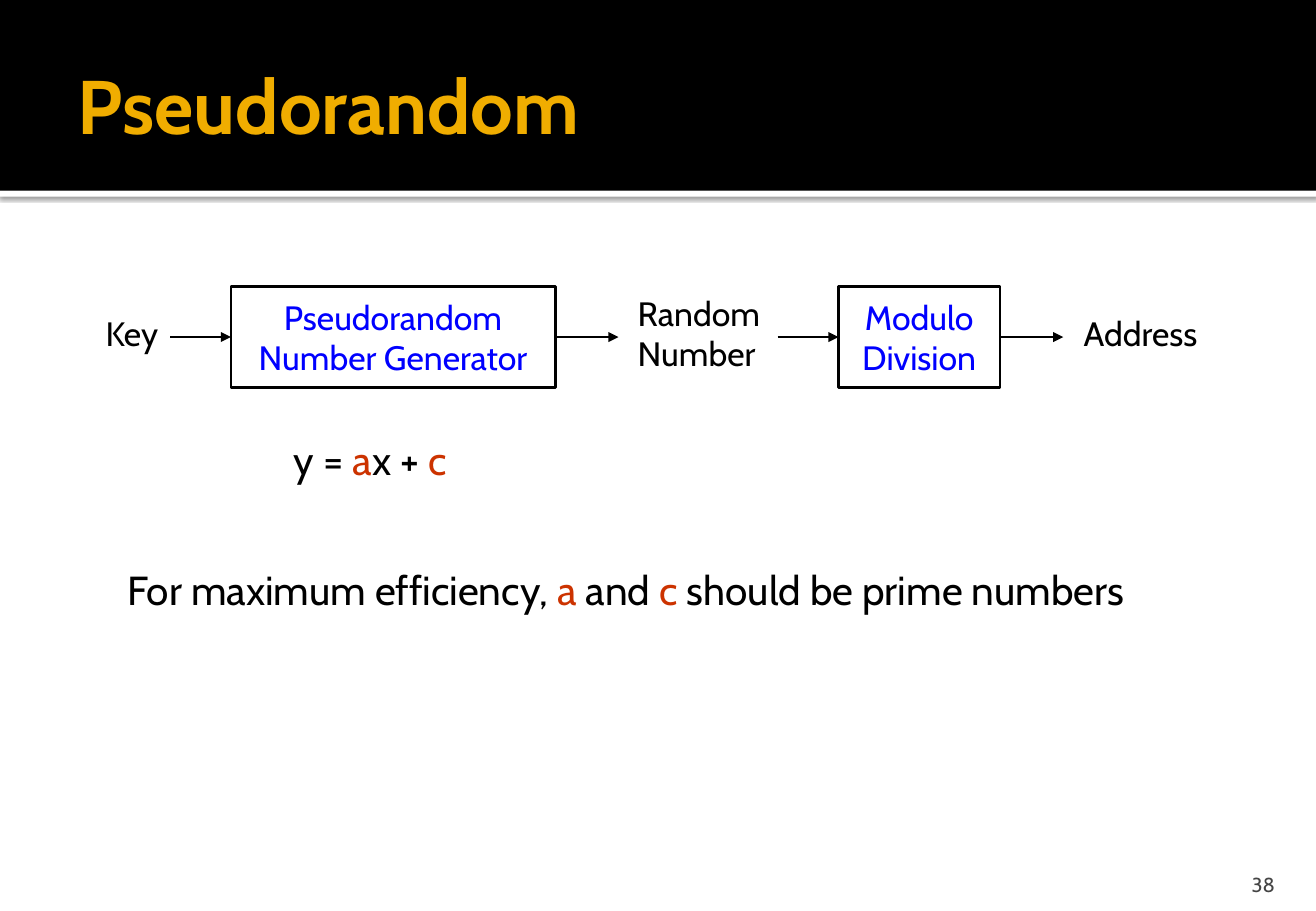
import lxml.etree
import pptx
import pptx.dml.color
import pptx.enum.shapes
import pptx.enum.text
import pptx.oxml
import pptx.oxml.ns
import pptx.util

Inches = pptx.util.Inches
ALIGN = pptx.enum.text.PP_ALIGN
ANCHOR = pptx.enum.text.MSO_ANCHOR
RECTANGLE = pptx.enum.shapes.MSO_SHAPE.RECTANGLE
COLORS = {"black": "000000", "white": "FFFFFF", "gold": "F0AD00",
          "grey": "454545", "blue": "0000FF", "red": "CC3300"}
HEADER_HEIGHT = 1.57
BOX_TOP, BOX_HEIGHT = 2.36, 0.83
FLOW_Y = BOX_TOP + BOX_HEIGHT / 2
ARROW_LENGTH = 0.5


def rgb(name):
    return pptx.dml.color.RGBColor.from_string(COLORS[name])


def write(shape, lines, size, align=ALIGN.LEFT, bold=False, **frame_format):
    """Fill a shape with lines, each a list of (text, colour name) spans."""
    frame = shape.text_frame
    for name, value in ({"word_wrap": True} | frame_format).items():
        setattr(frame, name, value)
    for index, spans in enumerate(lines):
        para = frame.paragraphs[0] if index == 0 else frame.add_paragraph()
        para.alignment = align
        for text, color in spans:
            span = para.add_run()
            span.text = text
            font_format = {"name": "Cabin", "size": pptx.util.Pt(size), "bold": bold}
            for name, value in font_format.items():
                setattr(span.font, name, value)
            span.font.color.rgb = rgb(color)


deck = pptx.Presentation()
deck.slide_width, deck.slide_height = Inches(10.83), Inches(7.5)
page = deck.slides.add_slide(deck.slide_layouts[5])

# Header band with a shadowed white rule below it
for top, height, color in [(HEADER_HEIGHT, 0.05, "white"), (0, HEADER_HEIGHT, "black")]:
    band = page.shapes.add_shape(RECTANGLE, 0, Inches(top), deck.slide_width, Inches(height))
    band.shadow.inherit = False
    band.fill.solid()
    band.fill.fore_color.rgb = rgb(color)
    band.line.fill.background()
    if color == "white":
        effects = band.element.spPr.find(pptx.oxml.ns.qn("a:effectLst"))
        effects.append(pptx.oxml.parse_xml(
            f'<a:outerShdw {pptx.oxml.ns.nsdecls("a")} blurRad="31750" dist="10160" '
            'dir="5400000" algn="tl" rotWithShape="0">'
            '<a:srgbClr val="000000"><a:alpha val="60000"/></a:srgbClr></a:outerShdw>'))

title = page.shapes.title
title.element.getparent().append(title.element)  # bring in front of the band
title_place = {"left": 0.54, "top": 0.17, "width": 9.75, "height": 1.37}
for name, value in title_place.items():
    setattr(title, name, Inches(value))
write(title, [[("Pseudorandom", "gold")]], 45, bold=True,
      vertical_anchor=ANCHOR.MIDDLE, margin_left=Inches(0.1), margin_right=Inches(0.05),
      margin_top=Inches(0.05), margin_bottom=Inches(0.05))

# Process boxes
boxes = []
for left, width, lines in [(1.9, 2.67, ["Pseudorandom", "Number Generator"]),
                           (6.9, 1.33, ["Modulo", "Division"])]:
    box = page.shapes.add_shape(RECTANGLE, Inches(left), Inches(BOX_TOP),
                                Inches(width), Inches(BOX_HEIGHT))
    box.shadow.inherit = False
    box.fill.background()
    box.line.color.rgb = rgb("black")
    box.line.width = pptx.util.Pt(1.5)
    write(box, [[(line, "blue")] for line in lines], 20, ALIGN.CENTER,
          word_wrap=False, vertical_anchor=ANCHOR.MIDDLE)
    boxes.append(box)
generator, modulo = boxes

# Arrows into the left side and out of the right side of each box
for start, source, target in [(1.4, None, generator), (4.59, generator, None),
                              (6.4, None, modulo), (8.25, modulo, None)]:
    arrow = page.shapes.add_connector(
        pptx.enum.shapes.MSO_CONNECTOR.STRAIGHT, Inches(start), Inches(FLOW_Y),
        Inches(start + ARROW_LENGTH), Inches(FLOW_Y))
    if source:
        arrow.begin_connect(source, 3)
    if target:
        arrow.end_connect(target, 1)
    arrow.line.color.rgb = rgb("black")
    arrow.line.width = pptx.util.Pt(1.5)
    lxml.etree.SubElement(arrow.line._get_or_add_ln(),
                          pptx.oxml.ns.qn("a:tailEnd"), type="triangle")
    lxml.etree.SubElement(arrow.element.spPr, pptx.oxml.ns.qn("a:effectLst"))

# Flow labels, formula and advice
formula = [("y = ", "black"), ("a", "red"), ("x + ", "black"), ("c", "red")]
advice = [("For maximum efficiency, ", "black"), ("a", "red"), (" and ", "black"),
          ("c", "red"), (" should be prime numbers", "black")]
for left, top, width, height, size, lines in [
        (0.77, 2.53, 0.75, 0.43, 20, [[("Key", "black")]]),
        (5.15, 2.36, 1.33, 0.77, 20, [[("Random", "black")], [("Number", "black")]]),
        (8.82, 2.53, 1.33, 0.43, 20, [[("Address", "black")]]),
        (2.32, 3.53, 1.83, 0.5, 24, [formula]),
        (0.95, 4.6, 9.13, 0.5, 24, [advice])]:
    label = page.shapes.add_textbox(Inches(left), Inches(top), Inches(width), Inches(height))
    write(label, lines, size)

number = page.shapes.add_textbox(Inches(9.72), Inches(7.08), Inches(0.87), Inches(0.3))
write(number, [[("38", "grey")]], 12, ALIGN.RIGHT,
      vertical_anchor=ANCHOR.BOTTOM, margin_bottom=0)

deck.save("out.pptx")
